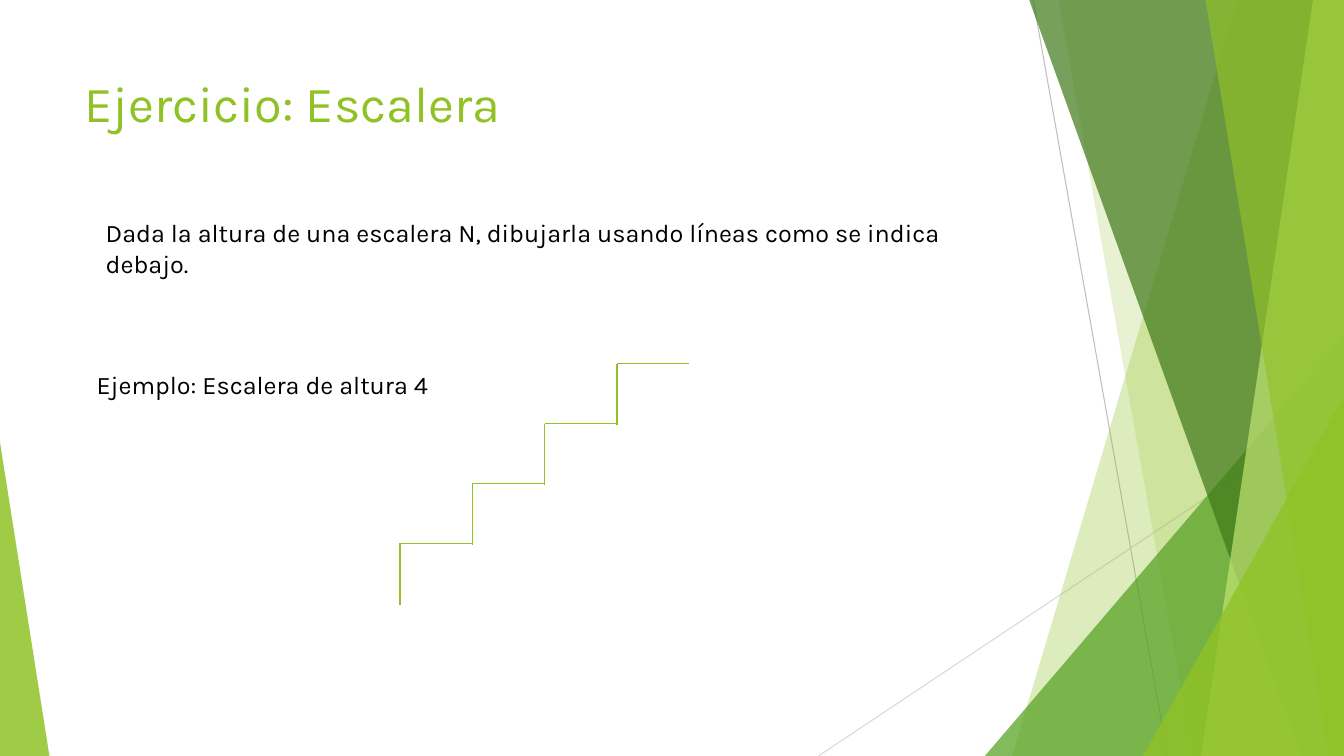
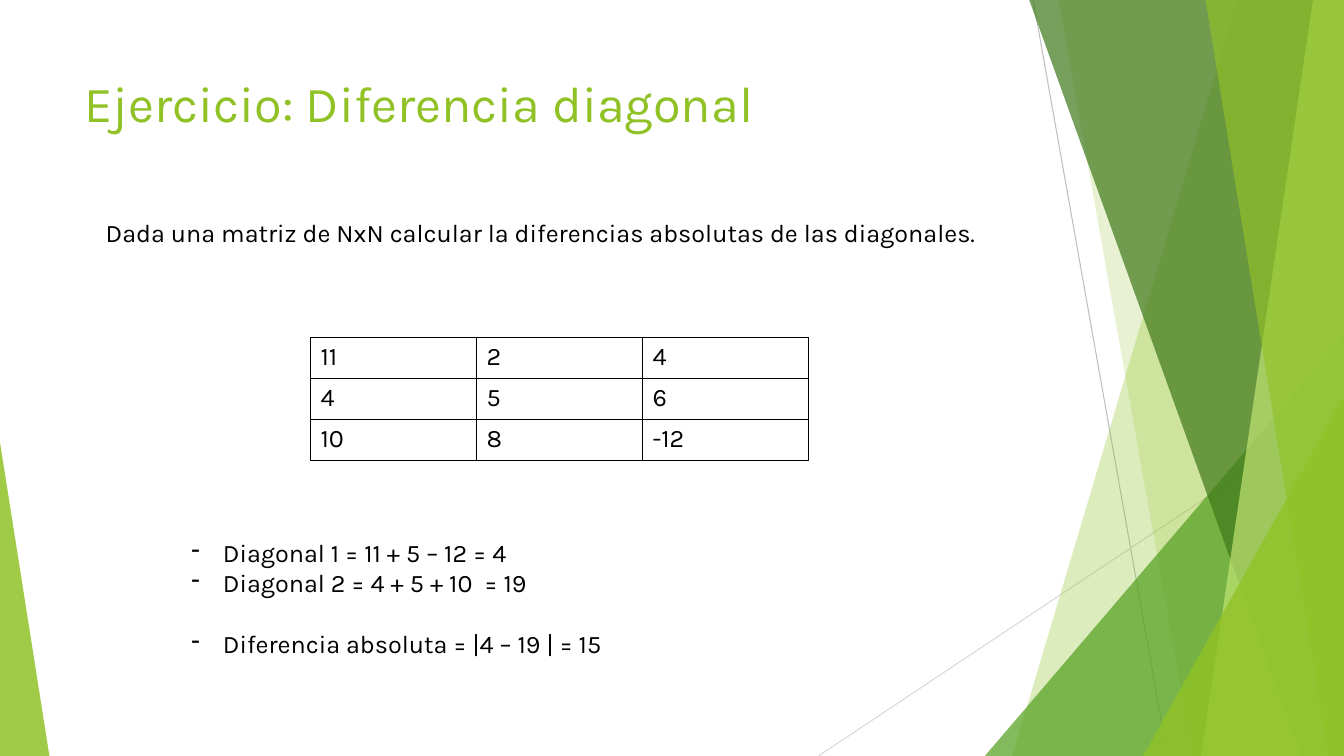
"""Build two exercise slides with a shared green facet design."""
import pptx
import pptx.dml.color
import pptx.enum.shapes
import pptx.enum.text
import pptx.oxml.ns
import pptx.util
from lxml import etree

Pt = pptx.util.Pt
RGB = pptx.dml.color.RGBColor
qn = pptx.oxml.ns.qn

FONT = "Karla"
LIME = RGB(0x90, 0xC2, 0x26)
GREEN = RGB(0x54, 0xA0, 0x21)
FOREST = RGB(0x3F, 0x78, 0x19)
PALE = RGB(0xC0, 0xE4, 0x74)
SILVER = RGB(0xBF, 0xBF, 0xBF)
MIST = RGB(0xD9, 0xD9, 0xD9)
BLACK = RGB(0, 0, 0)

WIDTH, HEIGHT = 960, 540
BLEED = 0.6
TITLE_BOX = (53.3, 48.2, 676.8, 103.7)
STATEMENT_LEFT, STATEMENT_TOP, STATEMENT_WIDTH = 68.4, 152, 661.7

RAYS = [((738, 0), (834, HEIGHT), SILVER), ((WIDTH, 290), (584.6, HEIGHT), MIST)]
FACETS = [
    ("band", (884, 723), LIME, 30),
    ("band", (756, 852), LIME, 20),
    ("corner", (703.5, 239.8, 256.5, 1), GREEN, 72),
    ("band", (735, 929.5), FOREST, 70),
    ("band", (938, 858), PALE, 70),
    ("band", (861, 949), LIME, 65),
    ("corner", (816.5, 283, 143.5, 1), LIME, 80),
    ("corner", (0, 316, 35.3, 0), LIME, 85),
]

STAIR_TITLE = "Ejercicio: Escalera"
STAIR_STATEMENT = ("Dada la altura de una escalera N, dibujarla usando líneas "
                   "como se indica debajo.")
STAIR_EXAMPLE = "Ejemplo: Escalera de altura 4"
STAIR_STEPS = 4
STAIR_LEFT, STAIR_FIRST_TREAD = 285.8, 388.1
TREAD, RISE, RISER_LENGTH = 51.65, 42.75, 43.9

DIAGONAL_TITLE = "Ejercicio: Diferencia diagonal"
DIAGONAL_STATEMENT = ("Dada una matriz de NxN calcular la diferencias absolutas "
                      "de las diagonales.")
MATRIX = [[11, 2, 4], [4, 5, 6], [10, 8, -12]]
MATRIX_LEFT, MATRIX_TOP, CELL_WIDTH, CELL_HEIGHT = 221.8, 241.2, 118.6, 29.2
RESULTS = [
    ("Diagonal 1 = 11 + 5 – 12 = 4", 0),
    ("Diagonal 2 = 4 + 5 + 10  = 19", 0),
    ("Diferencia absoluta = |4 – 19 | = 15", 21.6),
]
BULLET_INDENT = 22.5


def points(*lengths):
    return [Pt(length) for length in lengths]


def style(frame, size=18, color=BLACK):
    for paragraph in frame.paragraphs:
        paragraph.alignment = pptx.enum.text.PP_ALIGN.LEFT
        for run in paragraph.runs:
            run.font.name = FONT
            run.font.size = Pt(size)
            run.font.color.rgb = color


def add_line(slide, start, end, color, weight):
    line = slide.shapes.add_connector(
        pptx.enum.shapes.MSO_CONNECTOR.STRAIGHT, *points(*start, *end))
    line.line.color.rgb = color
    line.line.width = Pt(weight)
    etree.SubElement(line.element.spPr, qn("a:effectLst"))


def add_text(slide, text, left, top, width, height):
    box = slide.shapes.add_textbox(*points(left, top, width, height))
    frame = box.text_frame
    frame.word_wrap = True
    frame.auto_size = pptx.enum.text.MSO_AUTO_SIZE.SHAPE_TO_FIT_TEXT
    frame.text = text
    style(frame)
    return frame


def add_band(slide, top_x, bottom_x):
    outline = slide.shapes.build_freeform(*points(top_x, -BLEED), scale=1.0)
    corners = [(WIDTH, -BLEED), (WIDTH, HEIGHT), (bottom_x, HEIGHT)]
    outline.add_line_segments([points(*corner) for corner in corners], close=True)
    return outline.convert_to_shape()


def add_corner(slide, left, top, width, apex):
    corner = slide.shapes.add_shape(
        pptx.enum.shapes.MSO_SHAPE.ISOSCELES_TRIANGLE,
        *points(left, top, width, HEIGHT - top))
    corner.adjustments[0] = apex
    return corner


def move_facets_to_layout(slide):
    """Draw the facets on the slide and hand them to its layout."""
    for start, end, color in RAYS:
        add_line(slide, start, end, color, 0.75)
    for kind, geometry, color, opacity in FACETS:
        draw = add_band if kind == "band" else add_corner
        facet = draw(slide, *geometry)
        facet.shadow.inherit = False
        facet.line.fill.background()
        facet.fill.solid()
        facet.fill.fore_color.rgb = color
        tint = facet.element.spPr.find(qn("a:solidFill")).find(qn("a:srgbClr"))
        etree.SubElement(tint, qn("a:alpha"), val=str(opacity * 1000))
    layout_tree = slide.slide_layout.shapes.element
    decoration = [shape for shape in slide.shapes if not shape.is_placeholder]
    for position, shape in enumerate(decoration, start=2):
        layout_tree.insert(position, shape.element)


def add_exercise(deck, title, statement, statement_height):
    slide = deck.slides.add_slide(deck.slide_layouts[5])
    heading = slide.shapes.title
    heading.left, heading.top, heading.width, heading.height = points(*TITLE_BOX)
    heading.text_frame.text = title
    heading.text_frame.vertical_anchor = pptx.enum.text.MSO_ANCHOR.TOP
    style(heading.text_frame, 36, LIME)
    if len(deck.slides) == 1:
        move_facets_to_layout(slide)
    add_text(slide, statement, STATEMENT_LEFT, STATEMENT_TOP,
             STATEMENT_WIDTH, statement_height)
    return slide


def add_staircase(slide):
    for step in range(STAIR_STEPS):
        x = STAIR_LEFT + step * TREAD
        y = STAIR_FIRST_TREAD - step * RISE
        add_line(slide, (x, y + RISER_LENGTH), (x, y), LIME, 1)
        add_line(slide, (x, y), (x + TREAD, y), LIME, 1)


def add_borders(cell):
    properties = cell._tc.get_or_add_tcPr()
    for position, side in enumerate(("a:lnL", "a:lnR", "a:lnT", "a:lnB")):
        border = etree.Element(qn(side), w=str(Pt(1)))
        fill = etree.SubElement(border, qn("a:solidFill"))
        etree.SubElement(fill, qn("a:srgbClr"), val=str(BLACK))
        properties.insert(position, border)


def add_matrix(slide):
    rows, columns = len(MATRIX), len(MATRIX[0])
    matrix = slide.shapes.add_table(
        rows, columns, *points(MATRIX_LEFT, MATRIX_TOP,
                               columns * CELL_WIDTH, rows * CELL_HEIGHT)).table
    matrix.first_row = matrix.horz_banding = False
    for row, values in enumerate(MATRIX):
        for column, value in enumerate(values):
            cell = matrix.cell(row, column)
            cell.text_frame.text = str(value)
            style(cell.text_frame)
            cell.fill.background()
            add_borders(cell)


def add_results(slide):
    frame = add_text(slide, "\n".join(text for text, gap in RESULTS),
                     129.6, 380.2, 389.5, 94.3)
    for paragraph, (text, gap) in zip(frame.paragraphs, RESULTS):
        paragraph.space_before = Pt(gap)
        properties = paragraph._p.get_or_add_pPr()
        properties.set("marL", str(Pt(BULLET_INDENT)))
        properties.set("indent", str(-Pt(BULLET_INDENT)))
        etree.SubElement(properties, qn("a:buChar"), char="-")


def main():
    deck = pptx.Presentation()
    deck.slide_width, deck.slide_height = points(WIDTH, HEIGHT)

    stairs = add_exercise(deck, STAIR_TITLE, STAIR_STATEMENT, 50.9)
    add_staircase(stairs)
    add_text(stairs, STAIR_EXAMPLE, 61.9, 260, 270, 29.1)

    diagonals = add_exercise(deck, DIAGONAL_TITLE, DIAGONAL_STATEMENT, 29.1)
    add_matrix(diagonals)
    add_results(diagonals)

    deck.save("out.pptx")


if __name__ == "__main__":
    main()
